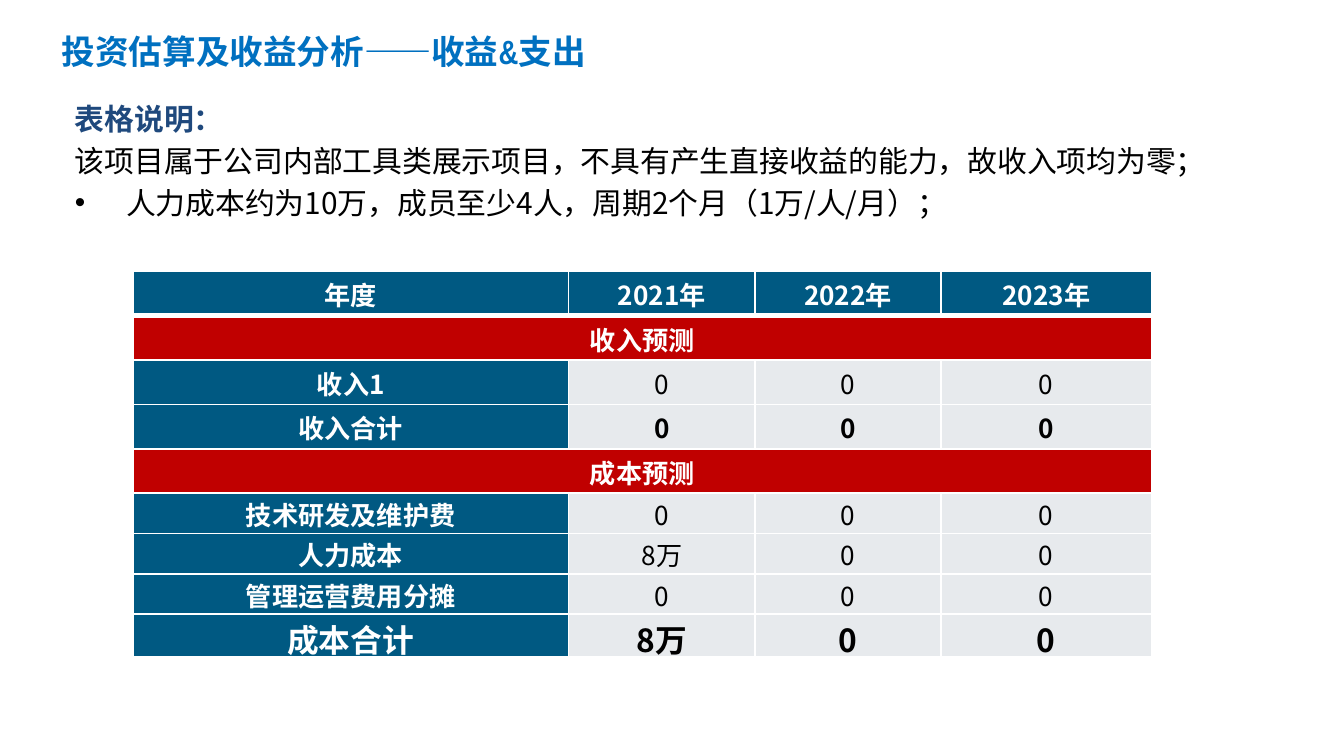
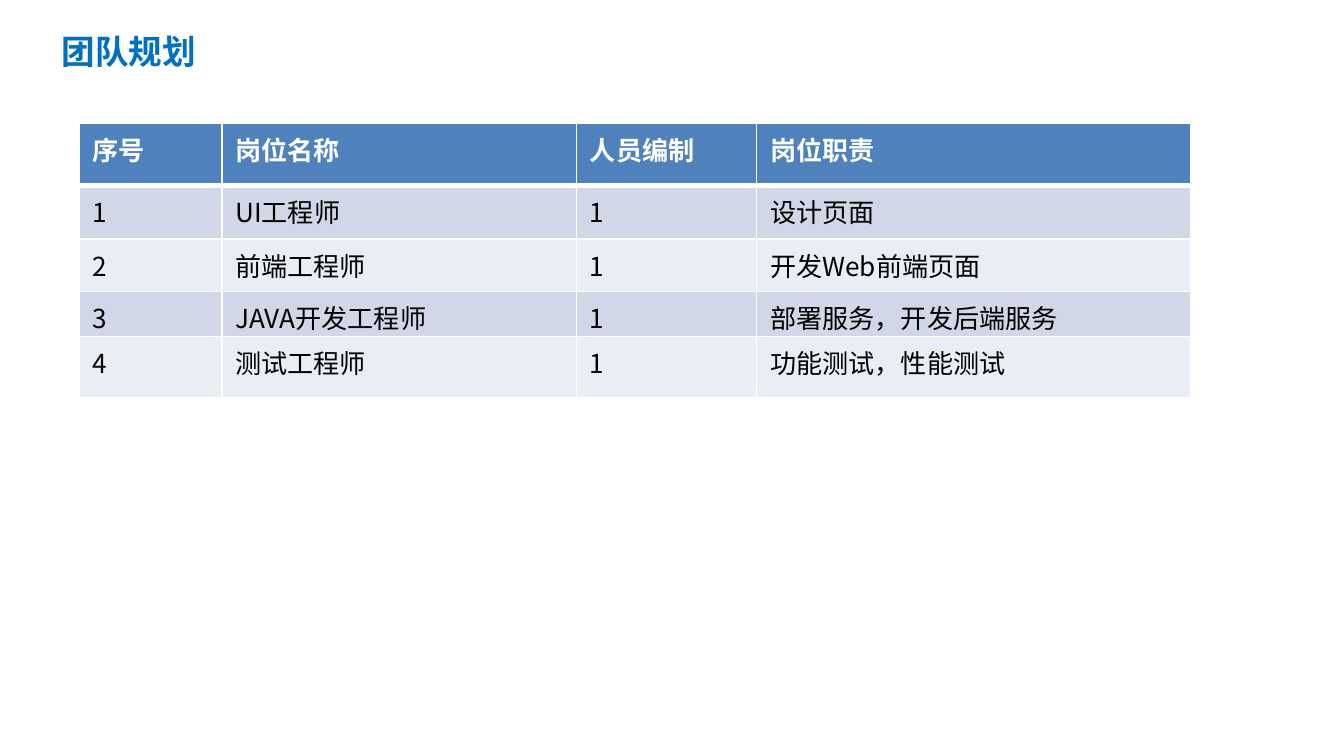
import pptx
import pptx.util
import pptx.dml.color
import pptx.enum.text
import pptx.oxml.ns
from lxml import etree

Inches, Pt = pptx.util.Inches, pptx.util.Pt
RGB = pptx.dml.color.RGBColor.from_string
MIDDLE = pptx.enum.text.MSO_ANCHOR.MIDDLE
CENTER = pptx.enum.text.PP_ALIGN.CENTER
qn = pptx.oxml.ns.qn
NOTO = "Noto Sans CJK SC"
COLORS = {
    "title": "0070C0", "heading": "1F497D", "black": "000000", "white": "FFFFFF",
    "label": "005982", "section": "C00000", "value": "E7EAED",
    "header": "4F81BD", "odd": "D0D8E8", "even": "E9EDF4",
}


def add_run(p, text, size, color, bold=False, font=NOTO):
    r = p.add_run()
    r.text = text
    for name, value in {"size": Pt(size), "bold": bold, "name": font}.items():
        setattr(r.font, name, value)
    r.font.color.rgb = RGB(COLORS[color])
    ea = etree.SubElement(r.font._element, qn("a:ea"))
    ea.set("typeface", NOTO)


def add_grid(s, box, cols, rows, cell_format, texts):
    """Table with white rules; returns an iterator of (row, column, cell, text)."""
    frame = s.shapes.add_table(len(rows), len(cols), *map(Inches, box))
    table = frame.table
    for col, width in zip(table.columns, cols):
        col.width = Inches(width)
    for row, height in zip(table.rows, rows):
        row.height = Inches(height)
    frame.height = Inches(box[3])
    for i, line in enumerate(texts):
        for j in range(len(cols)):
            cell = table.cell(i, j)
            for name, value in cell_format.items():
                setattr(cell, name, value)
            # Thick rule under the header row, thin rules elsewhere
            thick = {(0, "B"), (1, "T")}
            for side in "LRTB":
                ln = etree.SubElement(cell._tc.get_or_add_tcPr(), qn("a:ln" + side))
                ln.set("w", str(Pt(3 if (i, side) in thick else 1)))
                fill = etree.SubElement(ln, qn("a:solidFill"))
                etree.SubElement(fill, qn("a:srgbClr")).set("val", COLORS["white"])
            cell.fill.solid()
            if j < len(line):
                yield i, j, cell, line[j]
        if len(line) == 1:
            table.cell(i, 0).merge(table.cell(i, len(cols) - 1))


# 16:9 page
prs = pptx.Presentation()
prs.slide_width, prs.slide_height = Inches(10), Inches(10 * 9 / 16)

# Slides and their shared title
slides = []
for title in ["投资估算及收益分析——收益&支出", "团队规划"]:
    s = prs.slides.add_slide(prs.slide_layouts[6])
    tf = s.shapes.add_textbox(Inches(0.46), Inches(0.23), Inches(4.54), Inches(0.3)).text_frame
    for name, value in {
        "word_wrap": True, "vertical_anchor": MIDDLE,
        "auto_size": pptx.enum.text.MSO_AUTO_SIZE.SHAPE_TO_FIT_TEXT,
        "margin_left": 0, "margin_right": 0, "margin_top": 0, "margin_bottom": 0,
    }.items():
        setattr(tf, name, value)
    add_run(tf.paragraphs[0], title, 18, "title", True, "Arial Narrow")
    slides.append(s)
budget, team = slides

# Explanation above the budget table
tf = budget.shapes.add_textbox(Inches(0.46), Inches(0.7), Inches(8.83), Inches(1.12)).text_frame
tf.word_wrap = True
notes = [
    "表格说明：",
    "该项目属于公司内部工具类展示项目，不具有产生直接收益的能力，故收入项均为零；",
    "人力成本约为10万，成员至少4人，周期2个月（1万/人/月）；",
]
for i, text in enumerate(notes):
    p = tf.paragraphs[0] if i == 0 else tf.add_paragraph()
    p.space_before = Pt(3.2)
    add_run(p, text, 16, "black" if i else "heading", i == 0)
    if i:
        pPr = p._p.get_or_add_pPr()
        pPr.set("marL", str(Inches(0.38)))
        pPr.set("indent", str(-Inches(0.38)))
    if i == 2:
        etree.SubElement(pPr, qn("a:buFont")).set("typeface", "Arial")
        etree.SubElement(pPr, qn("a:buChar")).set("char", "•")

# Budget table: one-item rows are section bands
zeros = ["0"] * 3
budget_rows = [
    ["年度", "2021年", "2022年", "2023年"],
    ["收入预测"],
    ["收入1", *zeros],
    ["收入合计", *zeros],
    ["成本预测"],
    ["技术研发及维护费", *zeros],
    ["人力成本", "8万", "0", "0"],
    ["管理运营费用分摊", *zeros],
    ["成本合计", "8万", "0", "0"],
]
tight = {
    "vertical_anchor": MIDDLE, "margin_left": Inches(0.01), "margin_right": Inches(0.01),
    "margin_top": Inches(0.01), "margin_bottom": 0,
}
heights = [0.33] * 5 + [0.3] * 3 + [0.32]
for i, j, cell, text in add_grid(budget, (0.99, 2.02, 7.58, 2.86),
                                 [3.24, 1.39, 1.38, 1.57], heights, tight, budget_rows):
    is_value = i > 0 and j > 0
    is_total = budget_rows[i][0].endswith("合计")
    fill = "section" if len(budget_rows[i]) == 1 else "value" if is_value else "label"
    cell.fill.fore_color.rgb = RGB(COLORS[fill])
    p = cell.text_frame.paragraphs[0]
    p.alignment = CENTER
    add_run(p, text, 17 if i == 8 else 14, "black" if is_value else "white",
            is_total or not is_value, "Calibri" if i >= 4 and j == 0 else NOTO)

# Team table: banded rows
team_rows = [
    ["序号", "岗位名称", "人员编制", "岗位职责"],
    ["1", "UI工程师", "1", "设计页面"],
    ["2", "前端工程师", "1", "开发Web前端页面"],
    ["3", "JAVA开发工程师", "1", "部署服务，开发后端服务"],
    ["4", "测试工程师", "1", "功能测试，性能测试"],
]
for i, j, cell, text in add_grid(team, (0.59, 0.92, 8.27, 2.04), [1.06, 2.64, 1.34, 3.23],
                                 [0.46, 0.4, 0.39, 0.22, 0.46], {}, team_rows):
    fill = "header" if i == 0 else "odd" if i % 2 else "even"
    cell.fill.fore_color.rgb = RGB(COLORS[fill])
    add_run(cell.text_frame.paragraphs[0], text, 14, "black" if i else "white", i == 0)

prs.save("out.pptx")
